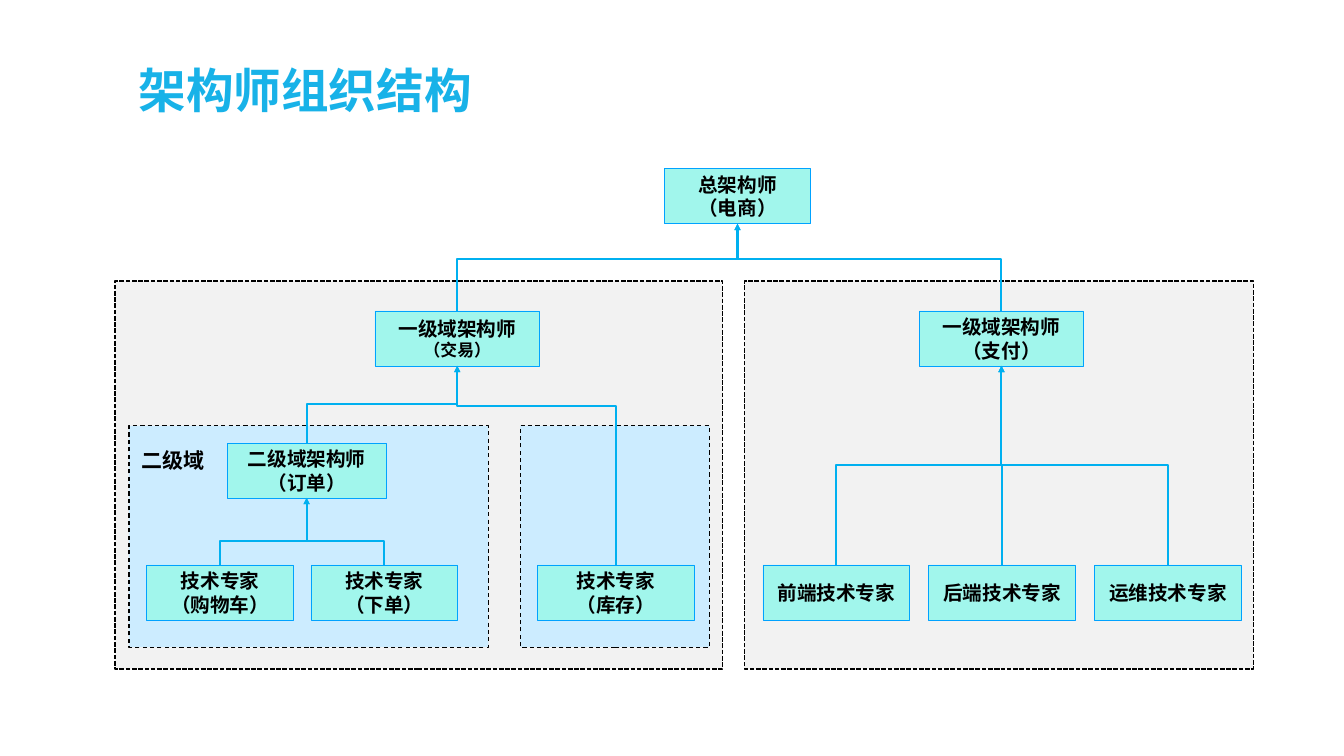
import pptx
import pptx.util
import pptx.dml.color
import pptx.enum.dml
import pptx.enum.shapes
import pptx.enum.text
import pptx.oxml
import pptx.oxml.ns
import lxml.etree

Pt = pptx.util.Pt
qn = pptx.oxml.ns.qn
RECT = pptx.enum.shapes.MSO_SHAPE.RECTANGLE
ELBOW = pptx.enum.shapes.MSO_CONNECTOR.ELBOW
DASH = pptx.enum.dml.MSO_LINE
ALIGN = pptx.enum.text.PP_ALIGN
MIDDLE = pptx.enum.text.MSO_ANCHOR.MIDDLE

prs = pptx.Presentation()
prs.slide_width = pptx.util.Inches(26.67)
prs.slide_height = pptx.util.Inches(15)
slide = prs.slides.add_slide(prs.slide_layouts[5])
col = prs.slide_width / 80
row = prs.slide_height / 45


def paint(fmt, color):
    if hasattr(fmt, "solid"):
        fmt.solid()
        fmt = fmt.fore_color
    fmt.rgb = pptx.dml.color.RGBColor.from_string(color)


def write(sp, lines, sizes, color="000000", font="Arial", align=ALIGN.CENTER):
    tf = sp.text_frame
    tf.margin_left = tf.margin_right = tf.margin_top = tf.margin_bottom = pptx.util.Inches(0.06)
    tf.vertical_anchor = MIDDLE
    tf.text = "\n".join(lines)
    for p, size in zip(tf.paragraphs, sizes):
        p.alignment = align
        p.font.size = Pt(size)
        p.font.bold = True
        p.font.name = font
        paint(p.font.color, color)


title = slide.shapes.title
title.left, title.top = int(8.07 * col), int(3.21 * row)
title.width, title.height = int(46.65 * col), int(4.29 * row)
write(title, ["架构师组织结构"], [68], "18B2E8", "Noto Sans CJK SC", ALIGN.LEFT)

panels = [
    (6.84, 16.74, 36.18, 23.07, "F2F2F2", 2.25, DASH.SQUARE_DOT),
    (44.31, 16.74, 30.3, 23.07, "F2F2F2", 2.25, DASH.SQUARE_DOT),
    (30.96, 25.35, 11.28, 13.17, "CCECFF", 1.5, DASH.DASH),
    (7.68, 25.35, 21.39, 13.17, "CCECFF", 1.5, DASH.DASH),
]
for x, y, w, h, fill, weight, dash in panels:
    sp = slide.shapes.add_shape(RECT, int(x * col), int(y * row), int(w * col), int(h * row))
    sp.shadow.inherit = False
    paint(sp.fill, fill)
    paint(sp.line.fill, "000000")
    sp.line.width = Pt(weight)
    sp.line.dash_style = dash

level_rows = [10.05, 18.51, 26.37, 33.63]
roles = {
    "chief": (43.9, 0, 8.73, ["总架构师", "（电商）"]),
    "trade": (27.22, 1, 9.8, ["一级域架构师", "（交易）"]),
    "payment": (59.61, 1, 9.8, ["一级域架构师", "（支付）"]),
    "order": (18.25, 2, 9.45, ["二级域架构师", "（订单）"]),
    "cart": (13.1, 3, 8.73, ["技术专家", "（购物车）"]),
    "checkout": (22.87, 3, 8.73, ["技术专家", "（下单）"]),
    "stock": (36.66, 3, 9.3, ["技术专家", "（库存）"]),
    "frontend": (49.78, 3, 8.73, ["前端技术专家"]),
    "backend": (59.65, 3, 8.73, ["后端技术专家"]),
    "operations": (69.52, 3, 8.73, ["运维技术专家"]),
}
boxes = {}
for name, (center, level, w, lines) in roles.items():
    sp = slide.shapes.add_shape(RECT, int((center - w / 2) * col), int(level_rows[level] * row),
                                int(w * col), int(3.27 * row))
    sp.shadow.inherit = False
    paint(sp.fill, "A1F6EC")
    paint(sp.line.fill, "00A2FF")
    sp.line.width = Pt(1)
    write(sp, lines, [28, 24 if name == "trade" else 28])
    boxes[name] = sp

reports = [
    ("cart", "order", 0.36), ("checkout", "order", 0.36),
    ("frontend", "payment", 0.5), ("backend", "payment", 0.5), ("operations", "payment", 0.5),
    ("stock", "trade", 0.8), ("order", "trade", 0.5),
    ("trade", "chief", 0.6), ("payment", "chief", 0.6),
]
for child, parent, bend in reports:
    a, b = boxes[child], boxes[parent]
    x1, y1 = a.left + a.width // 2, a.top
    x2, y2 = b.left + b.width // 2, b.top + b.height
    cx = slide.shapes.add_connector(ELBOW, x1, y1, x2, y2)
    cx.begin_connect(a, 0)
    cx.end_connect(b, 2)
    w, h = abs(y1 - y2), abs(x1 - x2)
    cx.left, cx.top = (x1 + x2 - w) // 2, (y1 + y2 - h) // 2
    cx.width, cx.height = w, h
    paint(cx.line.fill, "00B0F0")
    cx.line.width = Pt(3)
    props = cx._element.spPr
    xfrm = props.find(qn("a:xfrm"))
    xfrm.set("rot", "5400000" if x1 < x2 else "16200000")
    xfrm.set("flipH", "1" if x1 < x2 else "0")
    xfrm.set("flipV", "1")
    guides = props.find(qn("a:prstGeom")).find(qn("a:avLst"))
    lxml.etree.SubElement(guides, qn("a:gd"), name="adj1", fmla=f"val {round(bend * 100000)}")
    lxml.etree.SubElement(props.find(qn("a:ln")), qn("a:tailEnd"), type="triangle")
    lxml.etree.SubElement(props, qn("a:effectLst"))

label = slide.shapes.add_textbox(int(8.22 * col), int(26.46 * row), int(4.14 * col), int(1.86 * row))
write(label, ["二级域"], [30])
label.text_frame.word_wrap = False
label.text_frame.auto_size = pptx.enum.text.MSO_AUTO_SIZE.SHAPE_TO_FIT_TEXT

prs.save("out.pptx")
